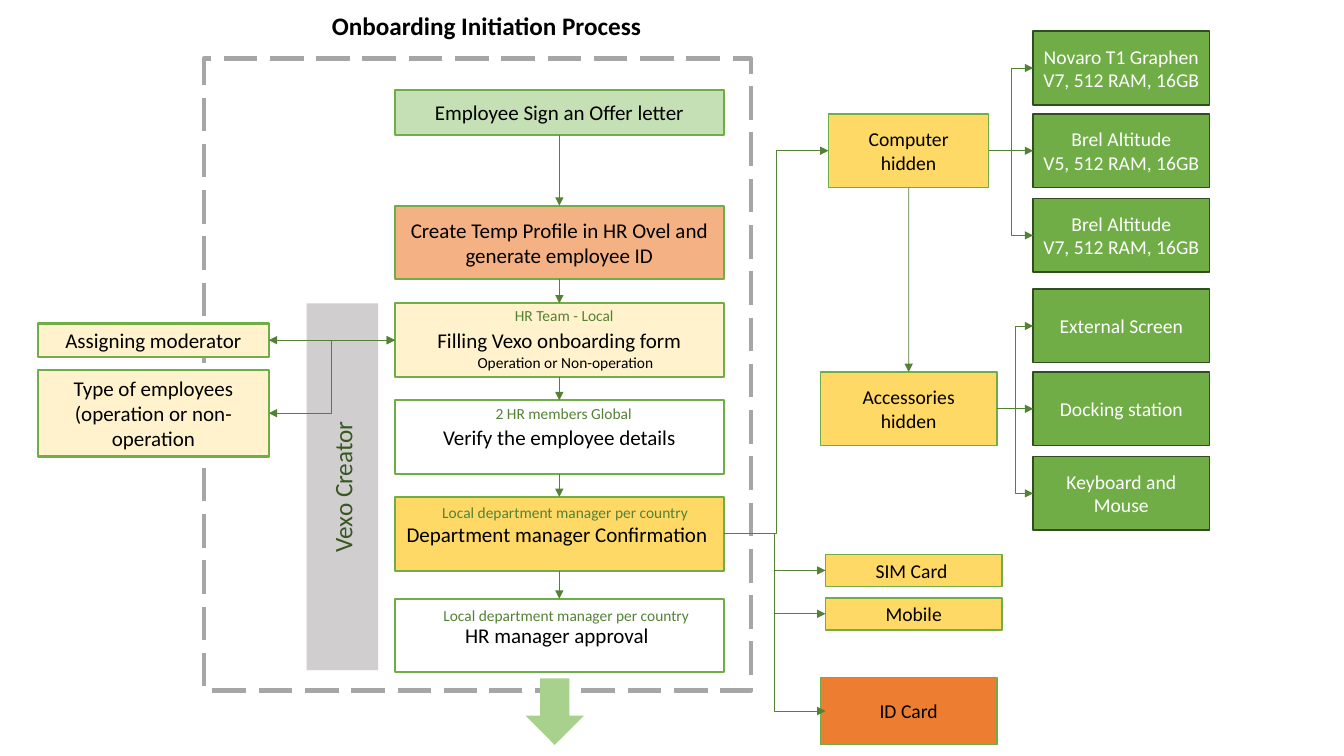
import pptx
import pptx.util
import pptx.dml.color
import pptx.enum.dml
import pptx.enum.shapes
import pptx.enum.text
import pptx.oxml
import pptx.oxml.ns
from lxml import etree

Pt = pptx.util.Pt
SHAPES = pptx.enum.shapes.MSO_SHAPE
LINKS = pptx.enum.shapes.MSO_CONNECTOR
TOP, LEFT, BOTTOM, RIGHT = range(4)

COLOURS = {
    "black": "000000", "white": "FFFFFF", "green": "70AD47",
    "dark green": "314C1F", "link": "548235", "bar text": "385723",
    "mint": "C5E0B4", "salmon": "F4B183", "cream": "FFF2CC",
    "gold": "FFD966", "orange": "ED7D31", "bar": "D0CECE",
    "frame": "A6A6A6", "arrow": "A9D18E",
}
STEP_HEIGHT = 52.6


def colour(name):
    return pptx.dml.color.RGBColor.from_string(COLOURS[name])


def write(frame, lines, size, ink, align=None, bold=None):
    for index, line in enumerate(lines):
        para = frame.paragraphs[0] if index == 0 else frame.add_paragraph()
        para.text = line
        para.alignment = align
        para.font.name = "Calibri"
        para.font.size = Pt(size)
        para.font.bold = bold
        para.font.color.rgb = colour(ink)


def add_box(page, box, fill=None, line=None, width=1, lines=(), size=14,
            ink="black", kind=SHAPES.RECTANGLE):
    shape = page.shapes.add_shape(kind, *map(Pt, box))
    shape.shadow.inherit = False
    if fill:
        shape.fill.solid()
        shape.fill.fore_color.rgb = colour(fill)
    else:
        shape.fill.background()
    if line:
        shape.line.color.rgb = colour(line)
        shape.line.width = Pt(width)
    else:
        shape.line.fill.background()
    shape.text_frame.vertical_anchor = pptx.enum.text.MSO_ANCHOR.MIDDLE
    write(shape.text_frame, lines, size, ink, pptx.enum.text.PP_ALIGN.CENTER)
    return shape


def add_label(page, box, text, size=11, ink="link", bold=None, wrap=True):
    label = page.shapes.add_textbox(*map(Pt, box))
    label.text_frame.word_wrap = wrap
    label.text_frame.auto_size = pptx.enum.text.MSO_AUTO_SIZE.SHAPE_TO_FIT_TEXT
    write(label.text_frame, [text], size, ink, bold=bold)


def side(shape, where):
    x = {LEFT: 0, RIGHT: shape.width}.get(where, shape.width // 2)
    y = {TOP: 0, BOTTOM: shape.height}.get(where, shape.height // 2)
    return shape.left + x, shape.top + y


def add_link(page, kind, start, end, both_heads=False):
    link = page.shapes.add_connector(kind, *start, *end)
    link.line.color.rgb = colour("link")
    link.line.width = Pt(0.5)
    outline = link.line._get_or_add_ln()
    for tag in ["a:headEnd", "a:tailEnd"] if both_heads else ["a:tailEnd"]:
        etree.SubElement(outline, pptx.oxml.ns.qn(tag), type="triangle")
    etree.SubElement(link._element.spPr, pptx.oxml.ns.qn("a:effectLst"))
    return link


def join(page, first, first_side, second, second_side, both_heads=False):
    link = add_link(page, LINKS.STRAIGHT, side(first, first_side),
                    side(second, second_side), both_heads)
    link.begin_connect(first, first_side)
    link.end_connect(second, second_side)


def bend(page, first, first_side, second, second_side, both_heads=False):
    add_link(page, LINKS.ELBOW, side(first, first_side),
             side(second, second_side), both_heads)


def onboarding_steps(page, box):
    """Column of steps with its captions; returns the step shapes."""
    left, top, width = box[:3]
    steps = [
        (0, 32.4, "mint", "Employee Sign an Offer letter"),
        (82.8, STEP_HEIGHT, "salmon",
         "Create Temp Profile in HR Ovel and generate employee ID"),
        (152.6, STEP_HEIGHT, "cream", "Filling Vexo onboarding form"),
        (221.8, STEP_HEIGHT, "white", "Verify the employee details"),
        (290.9, STEP_HEIGHT, "gold", "Department manager Confirmation "),
        (363.6, STEP_HEIGHT, "white", "HR manager approval "),
    ]
    shapes = [add_box(page, (left, top + down, width, height), fill, "green",
                      1.5, [text], 15)
              for down, height, fill, text in steps]
    for upper, lower in zip(shapes, shapes[1:]):
        join(page, upper, BOTTOM, lower, TOP)

    # Captions inside the steps
    captions = [
        (78.5, 151.2, 89.3, "HR Team - Local", "link", True),
        (64.8, 221, 112.3, "2 HR members Global", "link", False),
        (26.6, 291.6, 205.2, "Local department manager per country", "link", True),
        (27.4, 365, 205.2, "Local department manager per country", "link", True),
        (51.8, 184.3, 140.4, "Operation or Non-operation", "black", False),
    ]
    for across, down, wide, text, ink, wrap in captions:
        add_label(page, (left + across, top + down, wide, 20.9), text,
                  ink=ink, wrap=wrap)
    return shapes


def process_frame(page, box):
    """Dashed frame with its title, platform bar and exit arrow."""
    left, top, width, height = box
    bar = add_box(page, (left + 73.4, top + 174.9, 51.1, 262.1), "bar",
                  lines=["Vexo Creator"], size=18, ink="bar text")
    bar.text_frame._txBody.bodyPr.set("vert", "vert270")
    frame = add_box(page, box, line="frame", width=3)
    frame.line.dash_style = pptx.enum.dml.MSO_LINE.LONG_DASH
    add_label(page, (left + 84.3, top - 38.2, 236.9, 28.8),
              "Onboarding Initiation Process", 18, "black", True, False)
    add_box(page, (left + 229.7, top + height - 8.6, 41.8, 47.5), "arrow",
            kind=SHAPES.DOWN_ARROW)


def form_inputs(page, box, form):
    """Two inputs on the left that exchange data with the form step."""
    left, top, width, height = box
    moderator = add_box(page, (left, top, width, 23.8), "cream", "green", 1.5,
                        ["Assigning moderator"], 15)
    join(page, moderator, RIGHT, form, LEFT, True)
    employees = add_box(page, (left, top + height - 61.9, width, 61.9),
                        "cream", "green", 1.5,
                        ["Type of employees (operation or non-operation"], 15)
    bend(page, form, LEFT, employees, RIGHT, True)


def equipment(page, box, name, category_width, items):
    """Category on the left, three options on the right; returns the category."""
    left, top, width, height = box
    option_width = 126
    tops = [top, top + 59.1, top + height - STEP_HEIGHT]
    category = add_box(page, (left, tops[1], category_width, STEP_HEIGHT),
                       "gold", "green", 1, [name, "hidden"])
    for option_top, lines, draw in zip(tops, items, [bend, join, bend]):
        option = add_box(
            page, (left + width - option_width, option_top, option_width, STEP_HEIGHT),
            "green", "dark green", 1, lines, ink="white")
        draw(page, category, RIGHT, option, LEFT)
    return category


def issued_items(page, box, manager):
    """Items issued directly after the manager's confirmation."""
    left, top, width, height = box
    items = [("SIM Card ", 3.6, 0, 23, "gold"),
             ("Mobile", 3.6, 31, 23, "gold"),
             ("ID Card", 0, height - 48.2, 48.2, "orange")]
    for name, across, down, tall, fill in items:
        item = add_box(page, (left + across, top + down, width, tall), fill,
                       "green", 1, [name])
        add_link(page, LINKS.ELBOW, side(manager, RIGHT),
                 (Pt(left + 3.6), side(item, LEFT)[1]))


def main():
    deck = pptx.Presentation()
    deck.slide_width, deck.slide_height = Pt(960), Pt(540)
    page = deck.slides.add_slide(deck.slide_layouts[6])

    process_frame(page, (145.6, 41.8, 391, 451.4))
    steps = onboarding_steps(page, (282.2, 64.1, 234.7, 416.2))
    form, manager = steps[2], steps[4]
    form_inputs(page, (27, 231.1, 165, 95), form)

    computer = equipment(
        page, (591.8, 22.3, 272.2, 172.1), "Computer", 114.5,
        [["Novaro T1 Graphen", "V7, 512 RAM, 16GB "],
         ["Brel Altitude", "V5, 512 RAM, 16GB "],
         ["Brel Altitude", "V7, 512 RAM, 16GB "]])
    accessories = equipment(
        page, (586.1, 206.6, 277.9, 172.1), "Accessories", 126,
        [["External Screen"], ["Docking station"], ["Keyboard and Mouse"]])
    bend(page, manager, RIGHT, computer, LEFT)
    join(page, computer, BOTTOM, accessories, TOP)
    issued_items(page, (586.1, 396, 126, 136), manager)

    deck.save("out.pptx")


if __name__ == "__main__":
    main()
